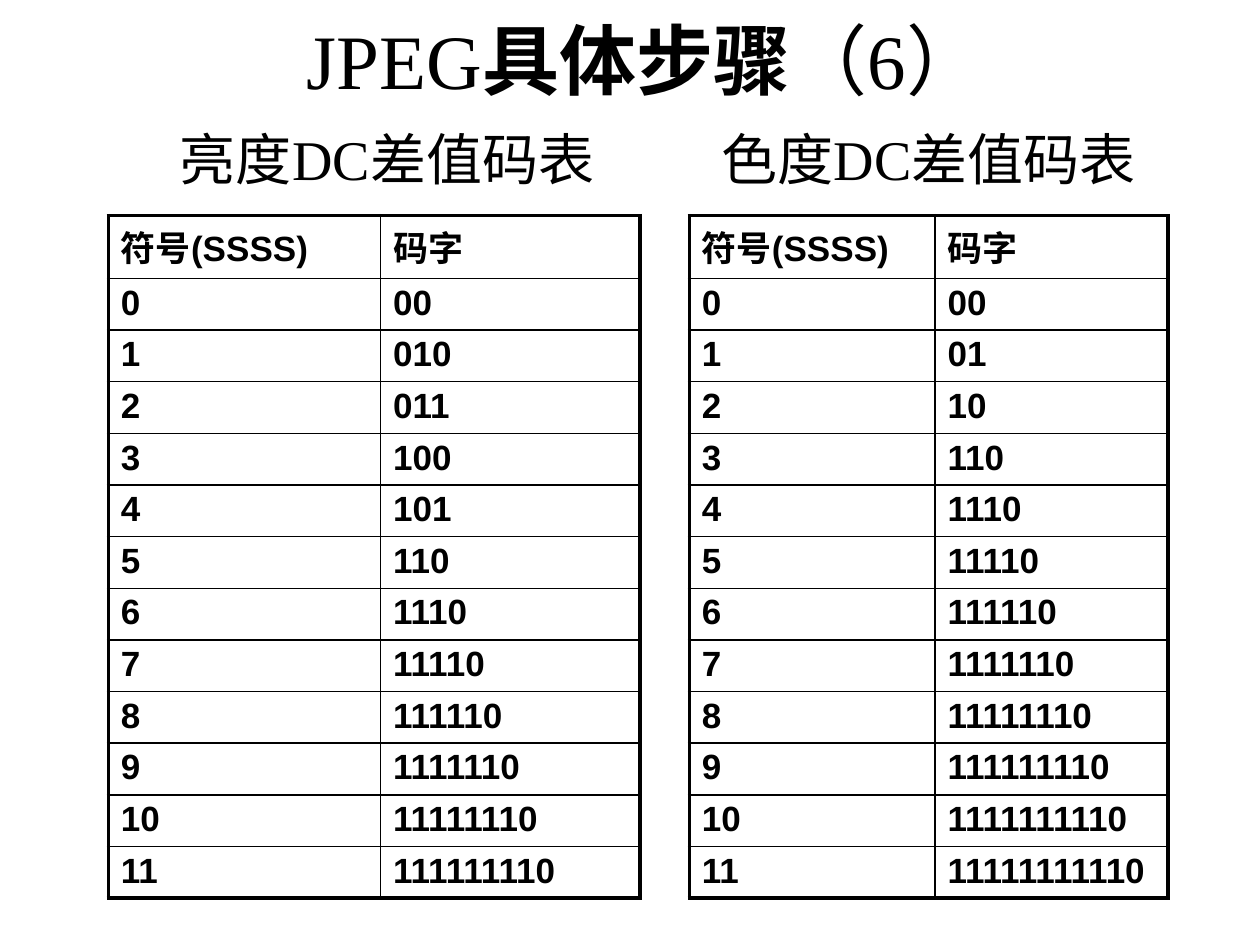
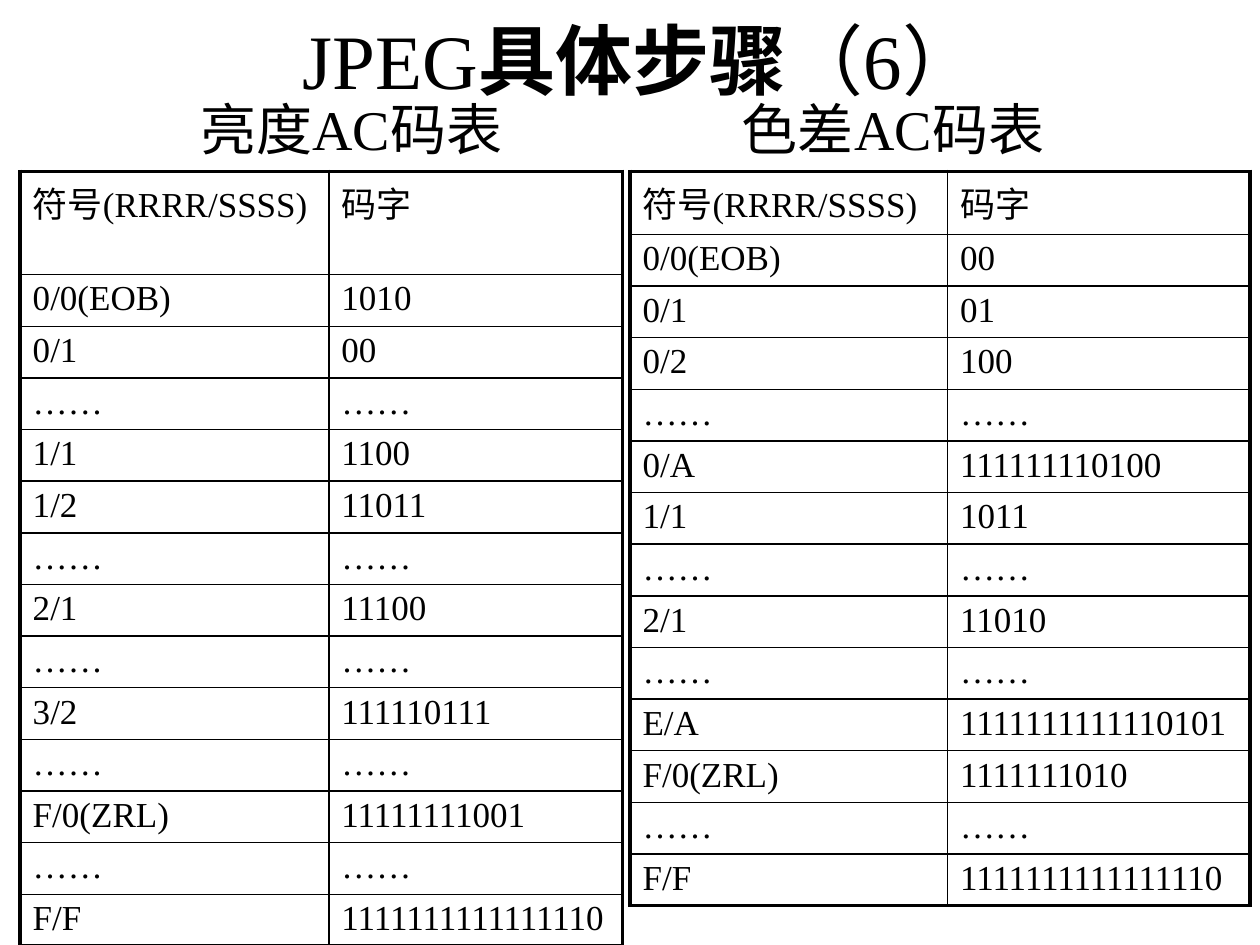
import pptx
import pptx.util
import pptx.dml.color
import pptx.enum.text
import pptx.oxml
from lxml import etree

Inches = pptx.util.Inches
Pt = pptx.util.Pt

COLORS = {"ink": "000000", "page": "FFFFFF"}
SERIF, SANS = "Times New Roman", "Arial"
TITLE = [("JPEG", False), ("具体步骤", True), ("（6）", False)]
TITLE_SIZE, CAPTION_SIZE, CELL_SIZE = 44, 32, 20
CAPTION_WIDTH, CAPTION_HEIGHT, CAPTION_TAB = 8.19, 0.75, 4.3
ROW_HEIGHT, HEAD_HEIGHT, WRAPPED_HEAD_HEIGHT = 0.41, 0.5, 0.82
CELL_TOP, CELL_BOTTOM = 0.04, 0.03
OUTER, INNER = 2.25, 1
DOTS = ("……", "……")

DC_HEAD = ("符号(SSSS)", "码字")
AC_HEAD = ("符号(RRRR/SSSS)", "码字")
LUMA_DC = ["00", "010", "011", "100", "101", "110", "1110", "11110", "111110",
           "1111110", "11111110", "111111110"]
CHROMA_DC = ["00", "01", "10", "110", "1110", "11110", "111110", "1111110",
             "11111110", "111111110", "1111111110", "11111111110"]
LUMA_AC = [
    ("0/0(EOB)", "1010"), ("0/1", "00"), DOTS,
    ("1/1", "1100"), ("1/2", "11011"), DOTS,
    ("2/1", "11100"), DOTS,
    ("3/2", "111110111"), DOTS,
    ("F/0(ZRL)", "11111111001"), DOTS,
    ("F/F", "1111111111111110"),
]
CHROMA_AC = [
    ("0/0(EOB)", "00"), ("0/1", "01"), ("0/2", "100"), DOTS,
    ("0/A", "111111110100"), ("1/1", "1011"), DOTS,
    ("2/1", "11010"), DOTS,
    ("E/A", "1111111111110101"), ("F/0(ZRL)", "1111111010"), DOTS,
    ("F/F", "1111111111111110"),
]


def numbered(codes):
    return [(str(i), code) for i, code in enumerate(codes)]


SLIDES = [
    {
        "title": (0.62, -0.16, 9, 1.25),
        "captions": ("亮度DC差值码表", "色度DC差值码表"),
        "captions_at": (1.33, 0.94),
        "font": SANS, "bold": True, "table_top": 1.71,
        "tables": [
            {"left": 0.86, "cols": (2.16, 2.06), "head": HEAD_HEIGHT,
             "rows": [DC_HEAD] + numbered(LUMA_DC)},
            {"left": 5.47, "cols": (1.95, 1.85), "head": HEAD_HEIGHT,
             "rows": [DC_HEAD] + numbered(CHROMA_DC)},
        ],
    },
    {
        "title": (0.59, 0, 9, 0.94),
        "captions": ("亮度AC码表", "色差AC码表"),
        "captions_at": (1.49, 0.7),
        "font": SERIF, "bold": False, "table_top": 1.36,
        "tables": [
            {"left": 0.16, "cols": (2.45, 2.33), "head": WRAPPED_HEAD_HEIGHT,
             "rows": [AC_HEAD] + LUMA_AC},
            {"left": 5, "cols": (2.52, 2.4), "head": HEAD_HEIGHT,
             "rows": [AC_HEAD] + CHROMA_AC},
        ],
    },
]


def rgb(name):
    return pptx.dml.color.RGBColor.from_string(COLORS[name])


def add_run(p, text, size, font=SERIF, bold=False):
    r = p.add_run()
    r.text = text
    r.font.size = Pt(size)
    r.font.name = font
    r.font.bold = bold
    r.font.color.rgb = rgb("ink")


def add_box(s, box):
    tf = s.shapes.add_textbox(*map(Inches, box)).text_frame
    tf.word_wrap = True
    return tf


def add_title(s, box):
    tf = add_box(s, box)
    tf.vertical_anchor = pptx.enum.text.MSO_ANCHOR.MIDDLE
    p = tf.paragraphs[0]
    p.alignment = pptx.enum.text.PP_ALIGN.CENTER
    for text, bold in TITLE:
        add_run(p, text, TITLE_SIZE, bold=bold)


def add_captions(s, at, captions):
    p = add_box(s, (*at, CAPTION_WIDTH, CAPTION_HEIGHT)).paragraphs[0]
    tabs = etree.SubElement(p._p.get_or_add_pPr(), pptx.oxml.ns.qn("a:tabLst"))
    etree.SubElement(tabs, pptx.oxml.ns.qn("a:tab"),
                     pos=str(Inches(CAPTION_TAB)), algn="l")
    add_run(p, "\t".join(captions), CAPTION_SIZE)


def add_border(cell, side, width):
    ln = etree.SubElement(cell._tc.get_or_add_tcPr(),
                          pptx.oxml.ns.qn("a:ln" + side), w=str(Pt(width)))
    fill = etree.SubElement(ln, pptx.oxml.ns.qn("a:solidFill"))
    etree.SubElement(fill, pptx.oxml.ns.qn("a:srgbClr"), val=COLORS["ink"])


def add_code_table(s, top, font, bold, spec):
    rows, cols = spec["rows"], spec["cols"]
    heights = [spec["head"]] + [ROW_HEIGHT] * (len(rows) - 1)
    frame = s.shapes.add_table(
        len(rows), len(cols), Inches(spec["left"]), Inches(top),
        Inches(sum(cols)), Inches(sum(heights)))
    table = frame.table
    table.first_row = table.horz_banding = False
    for column, width in zip(table.columns, cols):
        column.width = Inches(width)
    for i, row in enumerate(rows):
        table.rows[i].height = Inches(heights[i])
        for j, text in enumerate(row):
            cell = table.cell(i, j)
            edges = {"L": j == 0, "R": j == len(cols) - 1,
                     "T": i == 0, "B": i == len(rows) - 1}
            for side, outer in edges.items():
                add_border(cell, side, OUTER if outer else INNER)
            cell.fill.background()
            cell.margin_top = Inches(CELL_TOP)
            cell.margin_bottom = Inches(CELL_BOTTOM)
            add_run(cell.text_frame.paragraphs[0], text, CELL_SIZE, font, bold)


def main():
    prs = pptx.Presentation()
    prs.slide_width, prs.slide_height = Inches(10), Inches(7.5)
    for spec in SLIDES:
        s = prs.slides.add_slide(prs.slide_layouts[6])
        s.background.fill.solid()
        s.background.fill.fore_color.rgb = rgb("page")
        add_title(s, spec["title"])
        add_captions(s, spec["captions_at"], spec["captions"])
        for table in spec["tables"]:
            add_code_table(s, spec["table_top"], spec["font"], spec["bold"], table)
    prs.save("out.pptx")


if __name__ == "__main__":
    main()
